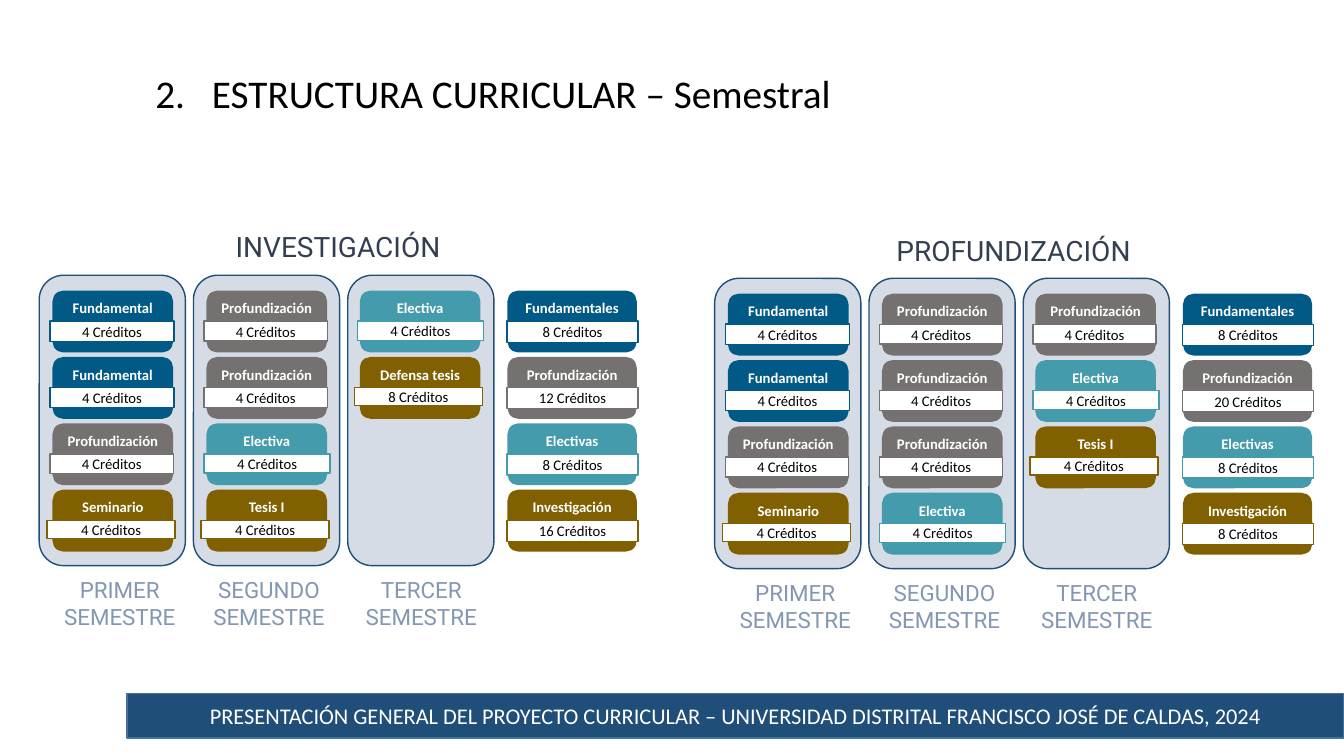
"""Builds the slide on the semester-by-semester curriculum structure."""
from lxml import etree
from pptx import Presentation
from pptx.dml.color import RGBColor
from pptx.enum import shapes, text
from pptx.oxml import ns
from pptx.util import Pt

TITLE = "ESTRUCTURA CURRICULAR – Semestral"
FOOTER = ("PRESENTACIÓN GENERAL DEL PROYECTO CURRICULAR – "
          "UNIVERSIDAD DISTRITAL FRANCISCO JOSÉ DE CALDAS, 2024")
SEMESTERS = ["PRIMER", "SEGUNDO", "TERCER"]

FUNDAMENTAL = ("fundamental", "Fundamental", 4)
PROFUNDIZACION = ("profundizacion", "Profundización", 4)
ELECTIVA = ("electiva", "Electiva", 4)
SEMINARIO = ("investigacion", "Seminario", 4)
TESIS = ("investigacion", "Tesis I", 4)
DEFENSA = ("investigacion", "Defensa tesis", 8)


def totals(*credits):
    """Return the summary column for one track."""
    areas = [("fundamental", "Fundamentales"), ("profundizacion", "Profundización"),
             ("electiva", "Electivas"), ("investigacion", "Investigación")]
    return [(*area, credit) for area, credit in zip(areas, credits)]


TRACKS = [
    ("INVESTIGACIÓN", 28, 196.6, 160.6, [
        [FUNDAMENTAL, FUNDAMENTAL, PROFUNDIZACION, SEMINARIO],
        [PROFUNDIZACION, PROFUNDIZACION, ELECTIVA, TESIS],
        [ELECTIVA, DEFENSA],
        totals(8, 12, 8, 16)]),
    ("PROFUNDIZACIÓN", 510.5, 198.8, 163.4, [
        [FUNDAMENTAL, FUNDAMENTAL, PROFUNDIZACION, SEMINARIO],
        [PROFUNDIZACION, PROFUNDIZACION, PROFUNDIZACION, ELECTIVA],
        [PROFUNDIZACION, ELECTIVA, TESIS],
        totals(8, 20, 8, 8)]),
]

COLORS = {
    "fundamental": "015A86", "profundizacion": "767171", "electiva": "449BAC",
    "investigacion": "806000", "panel": "D6DCE5", "navy": "1F4E79",
    "footer_line": "43739E", "semester": "8497B0", "track": "333F50",
    "white": "FFFFFF", "black": "000000",
}

PANEL_W, PANEL_H, PANEL_PITCH = 104.4, 207.4, 110.2
CARD_X = [10, 120, 229.5, 335]
LABEL_X = [10, 116.6, 225.4]
CARD_TOP, CARD_H, CARD_PITCH = 11.5, 43.2, 47.4
CARD_W, TOTAL_W = 85.2, 91.4
BAND_TOP = 21.3
BANDS = {"fundamental": (-2.2, 88.5, 14.4), "profundizacion": (-2.2, 88, 14.2),
         "electiva": (-2.2, 90, 13.7), "investigacion": (-4.3, 91.4, 13)}
TOTAL_BAND = (-0.8, 93.6, 15.1)

ROUNDED = shapes.MSO_SHAPE.ROUNDED_RECTANGLE
RECTANGLE = shapes.MSO_SHAPE.RECTANGLE
TOP, MIDDLE = text.MSO_ANCHOR.TOP, text.MSO_ANCHOR.MIDDLE


def rgb(name):
    return RGBColor.from_string(COLORS[name])


def write(holder, words, size, color, font="Calibri", bold=False, anchor=TOP):
    frame = holder.text_frame
    frame.text = words
    frame.vertical_anchor = anchor
    for paragraph in frame.paragraphs:
        paragraph.alignment = text.PP_ALIGN.CENTER
        for run in paragraph.runs:
            run.font.size, run.font.name, run.font.bold = Pt(size), font, bold
            run.font.color.rgb = rgb(color)
    return frame


def add_block(kind, left, top, width, height, fill, line):
    block = slide.shapes.add_shape(kind, Pt(left), Pt(top), Pt(width), Pt(height))
    block.shadow.inherit = False
    block.fill.solid()
    block.fill.fore_color.rgb = rgb(fill)
    block.line.color.rgb = rgb(line)
    block.line.width = Pt(1)
    return block


def add_label(words, left, top, width, height, size, color, wrap):
    label = slide.shapes.add_textbox(Pt(left), Pt(top), Pt(width), Pt(height))
    write(label, words, size, color, "Roboto").word_wrap = wrap


def add_card(area, name, credits, left, top, width, band):
    card = add_block(ROUNDED, left, top, width, CARD_H, area, area)
    frame = write(card, name, 10.5, "white", bold=True)
    frame.margin_left = frame.margin_right = Pt(3)
    shift, band_w, band_h = band
    strip = add_block(RECTANGLE, left + shift, top + BAND_TOP, band_w, band_h, "white", area)
    write(strip, f"{credits} Créditos", 10.5, "black", anchor=MIDDLE)


def add_track(name, left, top, name_top, columns):
    for index, semester in enumerate(SEMESTERS):
        add_block(ROUNDED, left + index * PANEL_PITCH, top, PANEL_W, PANEL_H, "panel", "navy")
        add_label(f"{semester}\nSEMESTRE", left + LABEL_X[index], top + 211.6, 95, 46,
                  16, "semester", False)
    for index, column in enumerate(columns):
        is_total = index == len(SEMESTERS)
        for row, (area, subject, credits) in enumerate(column):
            add_card(area, subject, credits, left + CARD_X[index],
                     top + CARD_TOP + row * CARD_PITCH,
                     TOTAL_W if is_total else CARD_W,
                     TOTAL_BAND if is_total else BANDS[area])
    add_label(name, left, name_top, 427, 31, 20, "track", True)


def add_title():
    title = slide.shapes.title
    title.left, title.top, title.width, title.height = Pt(43.2), Pt(46), Pt(617.8), Pt(41)
    frame = write(title, TITLE, 28, "black")
    frame.word_wrap = True
    frame.auto_size = text.MSO_AUTO_SIZE.SHAPE_TO_FIT_TEXT
    properties = frame.paragraphs[0]._p.get_or_add_pPr()
    properties.set("marL", str(Pt(40.5)))
    properties.set("indent", str(-Pt(40.5)))
    etree.SubElement(properties, ns.qn("a:buFont"), typeface="+mj-lt")
    etree.SubElement(properties, ns.qn("a:buAutoNum"), type="arabicPeriod", startAt="2")


deck = Presentation()
deck.slide_width, deck.slide_height = Pt(960), Pt(540)
slide = deck.slides.add_slide(deck.slide_layouts[5])
add_title()
for track in TRACKS:
    add_track(*track)
footer = add_block(RECTANGLE, 90.7, 495.4, 869.3, 31.7, "navy", "footer_line")
write(footer, FOOTER, 16, "white", anchor=MIDDLE)
deck.save("out.pptx")
